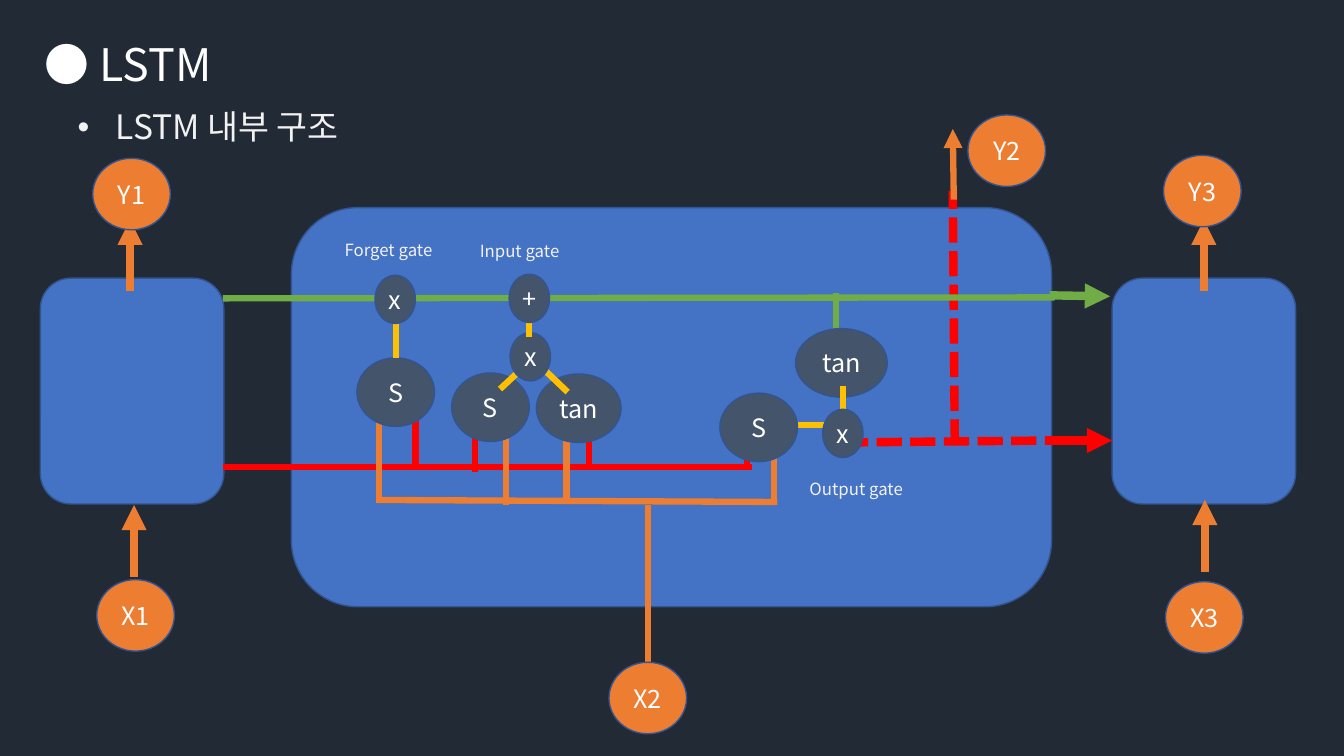
"""Build a slide that shows the inner structure of an LSTM cell."""
from lxml import etree
from pptx import Presentation
from pptx import util as u
from pptx.dml.color import RGBColor
from pptx.enum import dml, shapes, text
from pptx.oxml.ns import qn

PX = 9144
FONT = "Noto Sans CJK KR"
BACK, BLUE, EDGE, SLATE = "222A35", "4472C4", "325491", "44546A"
ORANGE, RED, GREEN, YELLOW = "ED7D31", "FF0000", "70AD47", "FFC000"
WHITE, PALE = "FFFFFF", "F2F2F2"

BLOCKS = [(40, 276, 182, 224), (289, 206, 754, 396), (1103, 276, 182, 224)]
PORT_ARROWS = [(129, 289, 129, 218), (1194, 289, 1194, 218),
               (133, 572, 133, 501), (1195, 567, 1195, 496)]
PORTS = [("X1", 96, 575), ("X2", 604, 657), ("X3", 1156, 577),
         ("Y1", 92, 157), ("Y2", 960, 114), ("Y3", 1154, 154)]
WIRES = [
    (ORANGE, 643, 657, 643, 501), (ORANGE, 771, 498, 374, 496),
    (ORANGE, 768, 401, 768, 501), (RED, 221, 463, 746, 463),
    (ORANGE, 376, 375, 376, 499), (RED, 412, 463, 412, 375),
    (GREEN, 221, 296, 1046, 295), (RED, 471, 468, 471, 379),
    (ORANGE, 502, 378, 502, 501), (ORANGE, 562, 377, 562, 500),
    (RED, 584, 465, 584, 377), (GREEN, 829, 291, 829, 368),
    (RED, 741, 466, 741, 394), (YELLOW, 830, 422, 768, 422),
]
DASHES = [(836, 439, 1046, 437), (947, 441, 945, 189)]
LAYERS = [
    (WIRES, [("S", 354, 355, 77, 68), ("S", 448, 370, 77, 68),
             ("tan", 532, 371, 84, 68), ("tan", 789, 326, 91, 68),
             ("S", 714, 390, 77, 68)]),
    ([(YELLOW, 393, 355, 393, 316), (YELLOW, 563, 389, 539, 366),
      (YELLOW, 496, 386, 512, 371), (YELLOW, 836, 422, 836, 383)],
     [("x", 372, 273, 40, 48), ("x", 506, 330, 40, 48),
      ("x", 816, 406, 40, 48)]),
    ([(YELLOW, 525, 334, 525, 292)], [("+", 505, 272, 40, 48)]),
]
CAPTIONS = [("Forget gate", 332, 233), ("Input gate", 466, 234),
            ("Output gate", 793, 470)]


def color(value):
    """Turn a hex string into a colour."""
    return RGBColor.from_string(value)


def scale(*lengths):
    """Turn px lengths into EMU."""
    return [length * PX for length in lengths]


def write(box, words, size, shade):
    """Put one formatted paragraph into a box and return it."""
    frame = box.text_frame
    frame.text = words
    para = frame.paragraphs[0]
    for span in para.runs:
        span.font.size = u.Pt(size)
        span.font.name = FONT
        span.font.color.rgb = color(shade)
        etree.SubElement(span._r.rPr, qn("a:ea"), typeface=FONT)
    return para


def add_heading(box, place, words, size, shade):
    """Move a placeholder and fill it with a left-aligned line."""
    box.left, box.top, box.width, box.height = scale(*place)
    para = write(box, words, size, shade)
    para.alignment = text.PP_ALIGN.LEFT
    para.space_before = u.Pt(0)
    para.line_spacing = 0.9
    box.text_frame.vertical_anchor = text.MSO_ANCHOR.MIDDLE
    box.text_frame.auto_size = text.MSO_AUTO_SIZE.NONE
    return para


def add_bullet(para, indent):
    """Give a paragraph a round bullet with a hanging indent."""
    props = para._p.get_or_add_pPr()
    props.set("marL", str(indent * PX))
    props.set("indent", str(-indent * PX))
    etree.SubElement(props, qn("a:buFont"), typeface="Arial")
    etree.SubElement(props, qn("a:buChar"), char="•")


def add_figure(page, preset, place, fill):
    """Add a filled and outlined preset shape."""
    figure = page.shapes.add_shape(preset, *scale(*place))
    figure.shadow.inherit = False
    figure.fill.solid()
    figure.fill.fore_color.rgb = color(fill)
    figure.line.color.rgb = color(EDGE)
    figure.line.width = u.Pt(1)
    return figure


def add_node(page, label, place, fill):
    """Add an ellipse with a centred label."""
    node = add_figure(page, shapes.MSO_SHAPE.OVAL, place, fill)
    write(node, label, 18, WHITE).alignment = text.PP_ALIGN.CENTER
    frame = node.text_frame
    frame.vertical_anchor = text.MSO_ANCHOR.MIDDLE
    frame.word_wrap = False
    frame.margin_left = frame.margin_right = 0


def add_wire(page, shade, ends, width=4.5, dashed=False, arrow=False):
    """Add a straight line, dashed or with an arrowhead on request."""
    wire = page.shapes.add_connector(shapes.MSO_CONNECTOR.STRAIGHT, *scale(*ends))
    wire.line.color.rgb = color(shade)
    wire.line.width = u.Pt(width)
    if dashed:
        wire.line.dash_style = dml.MSO_LINE.SQUARE_DOT
        wire.line._ln.find(qn("a:prstDash")).set("val", "sysDash")
    if arrow:
        etree.SubElement(wire.line._ln, qn("a:tailEnd"), type="triangle")
    etree.SubElement(wire._element.spPr, qn("a:effectLst"))


def add_caption(page, words, left, top):
    """Add a small gate caption."""
    box = page.shapes.add_textbox(*scale(left, top, 118, 30))
    box.text_frame.word_wrap = True
    write(box, words, 12, PALE)


def main():
    """Build and save the deck."""
    deck = Presentation()
    deck.slide_width, deck.slide_height = scale(1333, 750)
    page = deck.slides.add_slide(deck.slide_layouts[1])
    page.background.fill.solid()
    page.background.fill.fore_color.rgb = color(BACK)
    title, body = page.placeholders
    add_heading(title, (34, 34, 909, 64), "● LSTM", 32, WHITE)
    topic = add_heading(body, (67, 103, 1142, 50), "LSTM 내부 구조", 24, PALE)
    add_bullet(topic, 38)

    for place in BLOCKS:
        add_figure(page, shapes.MSO_SHAPE.ROUNDED_RECTANGLE, place, BLUE)
    add_wire(page, GREEN, (1041, 293, 1101, 294), 6, arrow=True)
    for ends in PORT_ARROWS:
        add_wire(page, ORANGE, ends, 6, arrow=True)
    for ends in DASHES:
        add_wire(page, RED, ends, 6, dashed=True)
    for wires, gates in LAYERS:
        for shade, *ends in wires:
            add_wire(page, shade, ends)
        for label, *place in gates:
            add_node(page, label, place, SLATE)
    add_wire(page, ORANGE, (946, 198, 945, 128), arrow=True)
    add_wire(page, RED, (1037, 437, 1103, 437), 6, arrow=True)
    for label, left, top in PORTS:
        add_node(page, label, (left, top, 77, 71), ORANGE)
    for caption in CAPTIONS:
        add_caption(page, *caption)
    deck.save("out.pptx")


if __name__ == "__main__":
    main()
